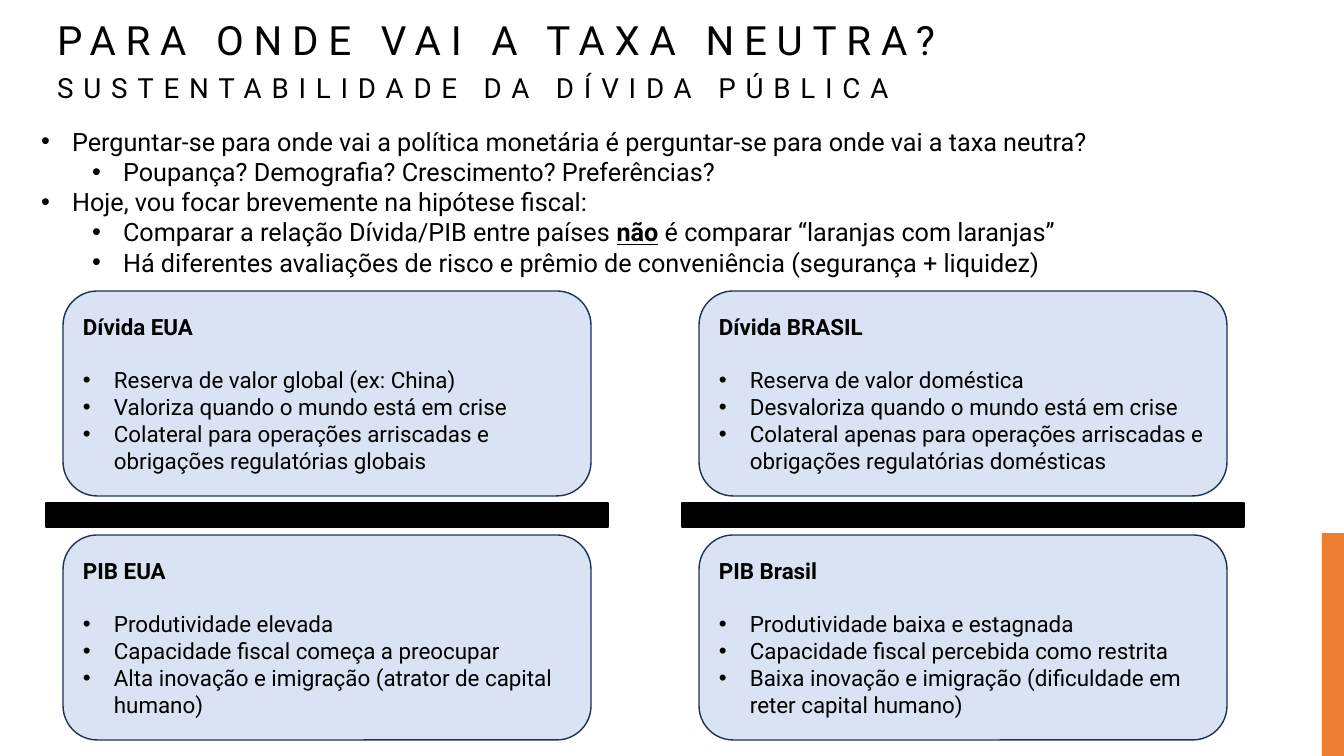
import lxml.etree
import pptx
import pptx.dml.color
import pptx.enum.shapes
import pptx.enum.text
import pptx.oxml.ns
import pptx.util

PX = 914400 / 100.8
FONT = "Roboto"
BLACK = "000000"
CARD_FILL = "DAE3F3"
CARD_LINE = "1E3256"
ORANGE = "ED7D31"
SHAPES = pptx.enum.shapes.MSO_SHAPE
ANCHORS = pptx.enum.text.MSO_ANCHOR

TITLE = [("PARA ONDE VAI A TAXA NEUTRA?", 28.8),
         ("SUSTENTABILIDADE DA DÍVIDA PÚBLICA", 19.8)]
QUESTIONS = [
    (0, ["Perguntar-se para onde vai a política monetária é perguntar-se para onde vai a taxa neutra?"]),
    (1, ["Poupança? Demografia? Crescimento? Preferências?"]),
    (0, ["Hoje, vou focar brevemente na hipótese fiscal:"]),
    (1, ["Comparar a relação Dívida/PIB entre países ", "não", " é comparar “laranjas com laranjas”"]),
    (1, ["Há diferentes avaliações de risco e prêmio de conveniência (segurança + liquidez)"]),
]
EUA = [
    ("Dívida EUA", ["Reserva de valor global (ex: China)",
                    "Valoriza quando o mundo está em crise",
                    "Colateral para operações arriscadas e obrigações regulatórias globais"]),
    ("PIB EUA", ["Produtividade elevada",
                 "Capacidade fiscal começa a preocupar",
                 "Alta inovação e imigração (atrator de capital humano)"]),
]
BRASIL = [
    ("Dívida BRASIL", ["Reserva de valor doméstica",
                       "Desvaloriza quando o mundo está em crise",
                       "Colateral apenas para operações arriscadas e obrigações regulatórias domésticas"]),
    ("PIB Brasil", ["Produtividade baixa e estagnada",
                    "Capacidade fiscal percebida como restrita",
                    "Baixa inovação e imigração (dificuldade em reter capital humano)"]),
]


def px(length):
    return pptx.util.Emu(round(length * PX))


def color(hex_string):
    return pptx.dml.color.RGBColor.from_string(hex_string)


def place(shape, left, top, width, height):
    shape.left, shape.top, shape.width, shape.height = map(px, (left, top, width, height))


def style(run, size, bold=False):
    run.font.name = FONT
    run.font.size = pptx.util.Pt(size)
    run.font.bold = bold
    run.font.color.rgb = color(BLACK)


def align_left(paragraph, line_spacing=1.0):
    paragraph.alignment = pptx.enum.text.PP_ALIGN.LEFT
    paragraph.line_spacing = line_spacing
    paragraph.space_before = pptx.util.Pt(0)


def add_bullet(paragraph, margin):
    properties = paragraph._p.get_or_add_pPr()
    properties.set("marL", str(px(margin)))
    properties.set("indent", str(px(-31)))
    qn = pptx.oxml.ns.qn
    lxml.etree.SubElement(properties, qn("a:buFont"), typeface="Arial")
    lxml.etree.SubElement(properties, qn("a:buChar"), char="•")


def add_block(slide, preset, box, fill, line=None):
    block = slide.shapes.add_shape(preset, *map(px, box))
    block.shadow.inherit = False
    block.fill.solid()
    block.fill.fore_color.rgb = color(fill)
    if line:
        block.line.color.rgb = color(line)
        block.line.width = pptx.util.Pt(1)
    else:
        block.line.fill.background()
    return block


def prepare_frame(frame, anchor):
    frame.word_wrap = True
    frame.auto_size = pptx.enum.text.MSO_AUTO_SIZE.NONE
    frame.vertical_anchor = anchor


def fill_title(slide, left, top, width, height):
    title = slide.shapes.title
    place(title, left, top, width, height)
    prepare_frame(title.text_frame, ANCHORS.BOTTOM)
    heading = title.text_frame.paragraphs[0]
    heading.text = "\v".join(text for text, size in TITLE)
    align_left(heading, 1.2)
    for run, (text, size) in zip(heading.runs, TITLE):
        style(run, size)
        run._r.get_or_add_rPr().set("spc", "700")
    qn = pptx.oxml.ns.qn
    line_break = heading._p.find(qn("a:br"))
    lxml.etree.SubElement(line_break, qn("a:rPr"), sz="2880", spc="700")


def fill_questions(slide, left, top, width, height):
    questions = slide.placeholders[1]
    place(questions, left, top, width, height)
    frame = questions.text_frame
    prepare_frame(frame, ANCHORS.TOP)
    frame.text = "\n".join("".join(parts) for level, parts in QUESTIONS)
    for paragraph, (level, parts) in zip(frame.paragraphs, QUESTIONS):
        paragraph.level = level
        align_left(paragraph)
        add_bullet(paragraph, 31 + 51 * level)
        paragraph.runs[0].text = parts[0]
        for part in parts[1:]:
            paragraph.add_run().text = part
        for run in paragraph.runs:
            style(run, 18, run.text == "não")
            run.font.underline = run.text == "não"


def add_card(slide, heading, points, box):
    card = add_block(slide, SHAPES.ROUNDED_RECTANGLE, box, CARD_FILL, CARD_LINE)
    frame = card.text_frame
    prepare_frame(frame, ANCHORS.MIDDLE)
    frame.text = "\n".join([heading] + points)
    for index, paragraph in enumerate(frame.paragraphs):
        align_left(paragraph)
        style(paragraph.runs[0], 16, index == 0)
        if index:
            add_bullet(paragraph, 31)
        else:
            paragraph.space_after = pptx.util.Pt(19)


def add_ratio(slide, cards, left, top, width, height):
    card_height = 205
    bar_height = 24
    bar_top = top + (height - bar_height) // 2
    add_block(slide, SHAPES.RECTANGLE, (left, bar_top, width, bar_height), BLACK, BLACK)
    card_tops = (top, top + height - card_height)
    for (heading, points), card_top in zip(cards, card_tops):
        add_card(slide, heading, points, (left + 17, card_top, width - 34, card_height))


def main():
    presentation = pptx.Presentation()
    presentation.slide_width = px(1344)
    presentation.slide_height = px(756)
    slide = presentation.slides.add_slide(presentation.slide_layouts[1])
    fill_title(slide, 47, 35, 1216, 74)
    fill_questions(slide, 31, 121, 1108, 163)
    add_block(slide, SHAPES.RECTANGLE, (1322, 533, 22, 223), ORANGE)
    for cards, left in ((EUA, 46), (BRASIL, 682)):
        add_ratio(slide, cards, left, 291, 562, 449)
    presentation.save("out.pptx")


if __name__ == "__main__":
    main()
